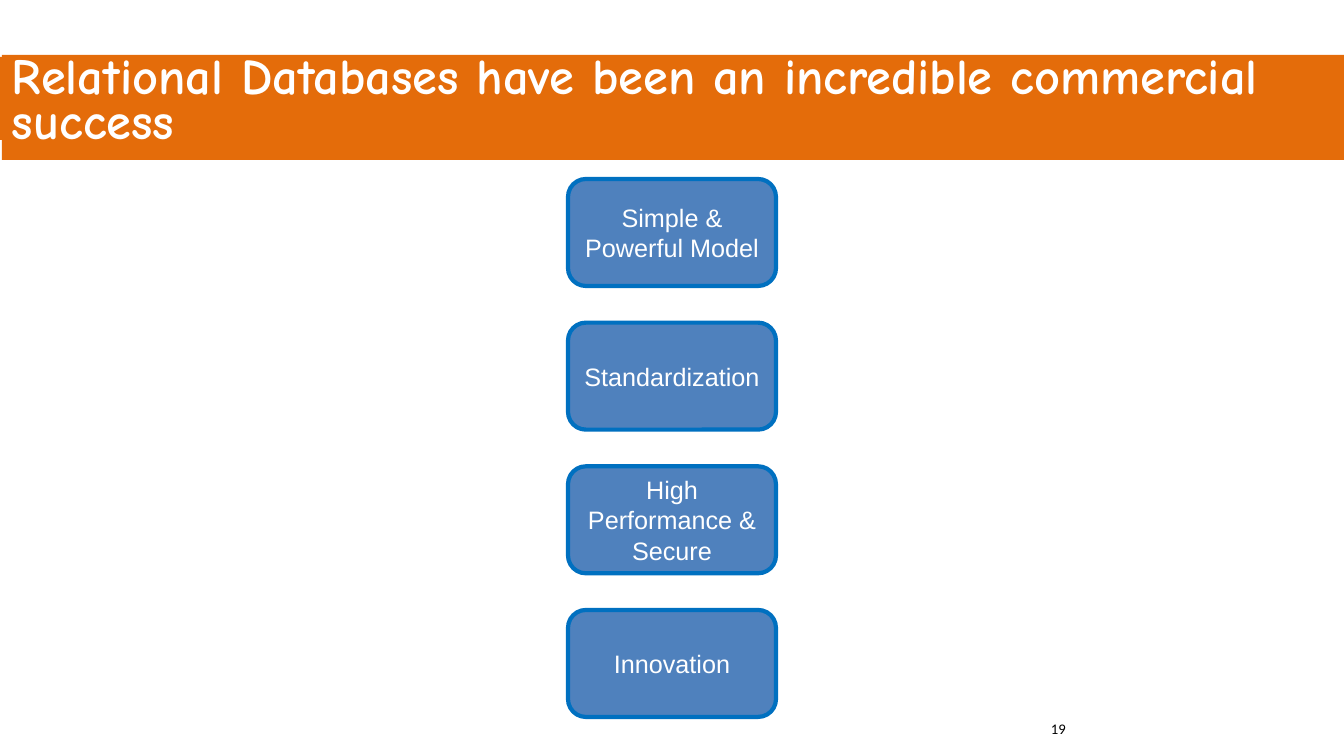
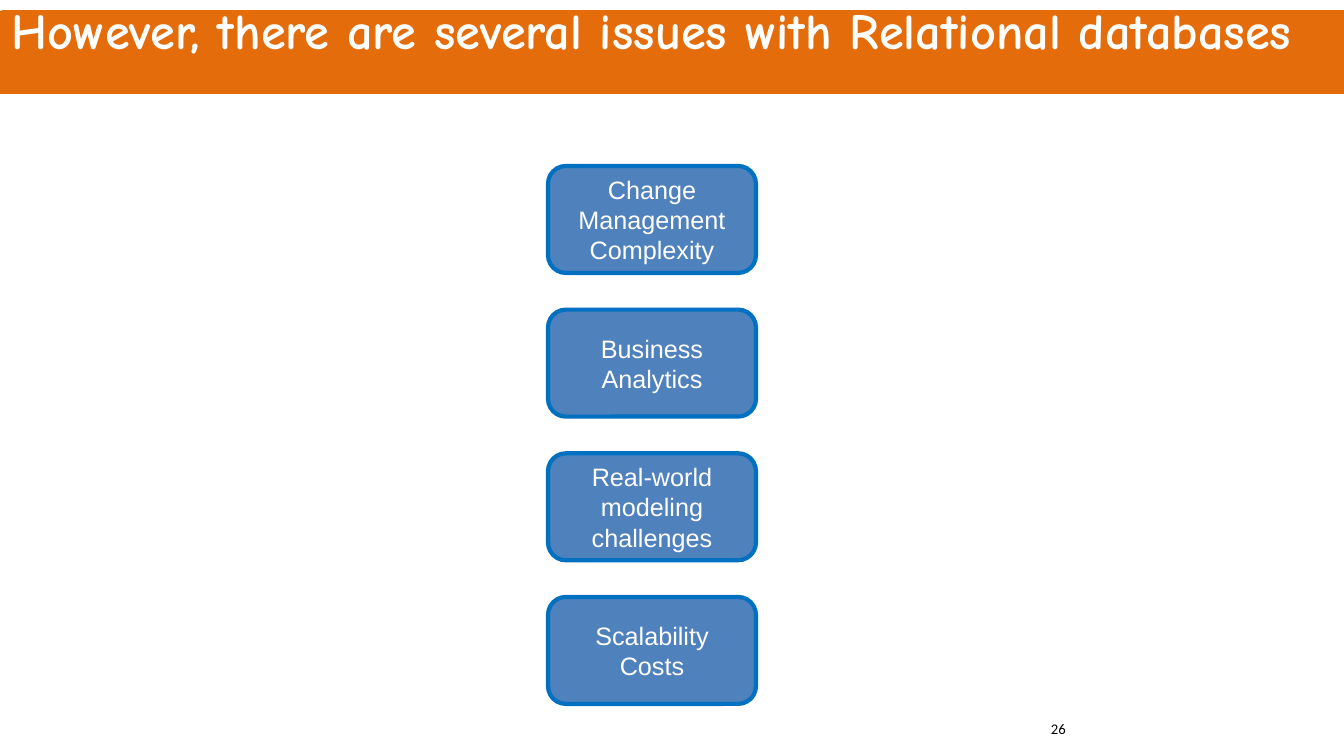
"""Build two slides on the strengths and the issues of relational databases."""
import pptx
import pptx.dml.color
import pptx.enum.shapes
import pptx.enum.text
import pptx.util
from dataclasses import dataclass

SHAPE = pptx.enum.shapes.MSO_SHAPE
ALIGN = pptx.enum.text.PP_ALIGN
ANCHOR = pptx.enum.text.MSO_ANCHOR
AUTO = pptx.enum.text.MSO_AUTO_SIZE

SLIDES = [
    {
        "title": "Relational Databases have been an incredible commercial success",
        "band_top": 57, "title_top": 55, "title_height": 105,
        "box_left": 568, "box_top": 179,
        "boxes": ["Simple & Powerful Model", "Standardization",
                  "High Performance & Secure", "Innovation"],
        "number": "19",
    },
    {
        "title": "However, there are several issues with Relational databases",
        "band_top": 11, "title_top": 10, "title_height": 59,
        "box_left": 548, "box_top": 166,
        "boxes": ["Change Management Complexity", "Business Analytics",
                  "Real-world modeling challenges", "Scalability Costs"],
        "number": "26",
    },
]

WIDTH, HEIGHT = 1344, 756
BAND_HEIGHT = 83
TITLE_LEFT, TITLE_WIDTH = 2, 1347
BOX_WIDTH, BOX_HEIGHT, STACK_HEIGHT = 208, 107, 538
NUMBER_AREA = (1041, 715, 302, 40)


@dataclass(frozen=True)
class Theme:
    band: str = "E46C0A"
    box: str = "4F81BD"
    outline: str = "0070C0"
    light: str = "FFFFFF"
    dark: str = "000000"
    title_font: str = "Comic Neue"
    box_font: str = "Arial"
    number_font: str = "Calibri"
    title_size: float = 36
    title_spacing: float = 32
    box_size: float = 18
    number_size: float = 10.5
    outline_width: float = 3


THEME = Theme()


def px(value):
    return round(value * 914400 / 100.8)


def rgb(value):
    return pptx.dml.color.RGBColor.from_string(value)


def add_block(s, kind, area, fill, line=None):
    sp = s.shapes.add_shape(kind, *map(px, area))
    sp.shadow.inherit = False
    sp.fill.solid()
    sp.fill.fore_color.rgb = rgb(fill)
    if line:
        sp.line.color.rgb = rgb(line)
        sp.line.width = pptx.util.Pt(THEME.outline_width)
    else:
        sp.line.fill.background()
    return sp


def set_text(sp, text, *, font, size, color, bold=False, align=ALIGN.LEFT,
             anchor=ANCHOR.TOP, spacing=None, auto_size=AUTO.NONE):
    tf = sp.text_frame
    tf.word_wrap = True
    tf.auto_size = auto_size
    tf.vertical_anchor = anchor
    p = tf.paragraphs[0]
    p.alignment = align
    if spacing:
        p.line_spacing = pptx.util.Pt(spacing)
    r = p.add_run()
    r.text = text
    r.font.name = font
    r.font.size = pptx.util.Pt(size)
    r.font.bold = bold
    r.font.color.rgb = rgb(color)


def add_title(s, content):
    add_block(s, SHAPE.RECTANGLE,
              (0, content["band_top"], WIDTH, BAND_HEIGHT), THEME.band)
    area = (TITLE_LEFT, content["title_top"], TITLE_WIDTH, content["title_height"])
    sp = add_block(s, SHAPE.RECTANGLE, area, THEME.band)
    set_text(sp, content["title"], font=THEME.title_font, size=THEME.title_size,
             color=THEME.light, bold=True, spacing=THEME.title_spacing,
             auto_size=AUTO.SHAPE_TO_FIT_TEXT)


def add_boxes(s, content):
    labels = content["boxes"]
    step = (STACK_HEIGHT - BOX_HEIGHT) / (len(labels) - 1)
    for i, label in enumerate(labels):
        area = (content["box_left"], content["box_top"] + i * step,
                BOX_WIDTH, BOX_HEIGHT)
        sp = add_block(s, SHAPE.ROUNDED_RECTANGLE, area, THEME.box, THEME.outline)
        set_text(sp, label, font=THEME.box_font, size=THEME.box_size,
                 color=THEME.light, align=ALIGN.CENTER, anchor=ANCHOR.MIDDLE)


def add_number(s, number):
    sp = s.shapes.add_textbox(*map(px, NUMBER_AREA))
    set_text(sp, number, font=THEME.number_font, size=THEME.number_size,
             color=THEME.dark)


def main():
    prs = pptx.Presentation()
    prs.slide_width, prs.slide_height = px(WIDTH), px(HEIGHT)
    for content in SLIDES:
        s = prs.slides.add_slide(prs.slide_layouts[6])
        add_title(s, content)
        add_boxes(s, content)
        add_number(s, content["number"])
    prs.save("out.pptx")


if __name__ == "__main__":
    main()
